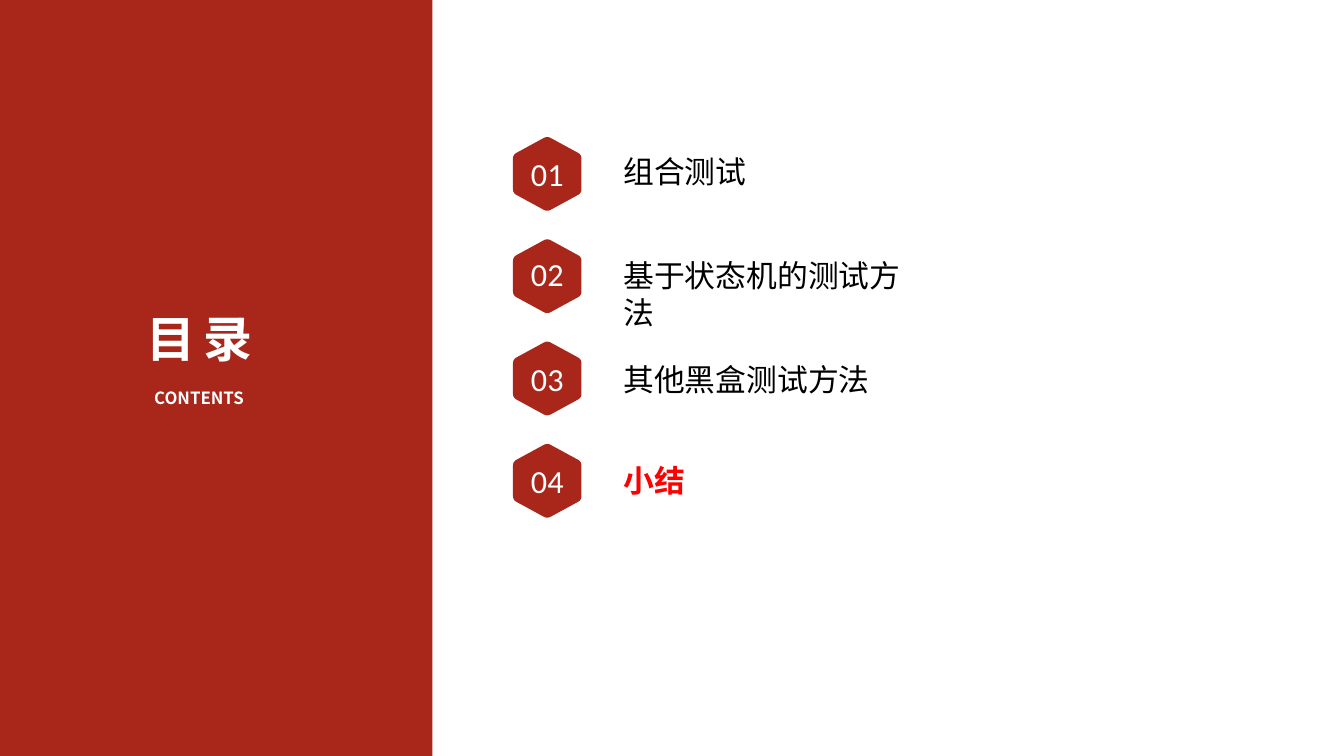
from math import hypot

from lxml.etree import SubElement
from pptx import Presentation
from pptx.dml.color import RGBColor
from pptx.enum.shapes import MSO_SHAPE
from pptx.enum.text import MSO_ANCHOR, MSO_AUTO_SIZE, PP_ALIGN
from pptx.oxml.ns import qn
from pptx.util import Pt

PX = 9144  # EMU per px, 100 px to the inch
SLIDE_W, SLIDE_H = 2667, 1500

BRICK = RGBColor(0xA8, 0x27, 0x1A)
WHITE = RGBColor(0xFF, 0xFF, 0xFF)
BLACK = RGBColor(0x00, 0x00, 0x00)
RED = RGBColor(0xFF, 0x00, 0x00)

CJK_FONT = "Noto Sans CJK SC"
NUMBER_FONT = "Calibri"

# Label, label width, label top and number top from the badge centre, current
CHAPTERS = [
    ("组合测试", 418, -47, -53, False),
    ("基于状态机的测试方法", 621, -44, -58, False),
    ("其他黑盒测试方法", 503, -41, -53, False),
    ("小结", 270, -43, -53, True),
]


def emu(*lengths):
    return [round(length * PX) for length in lengths]


def write(holder, text, size, color, font=CJK_FONT, bold=False,
          align=PP_ALIGN.LEFT, anchor=MSO_ANCHOR.TOP, spacing=None):
    """Put one formatted line of text into a text box or placeholder."""
    frame = holder.text_frame
    margins = dict.fromkeys(
        ("margin_left", "margin_top", "margin_right", "margin_bottom"), 5 * PX)
    frame_format = {"word_wrap": True, "auto_size": MSO_AUTO_SIZE.NONE,
                    "vertical_anchor": anchor, **margins}
    for name, value in frame_format.items():
        setattr(frame, name, value)
    line = frame.paragraphs[0]
    line.alignment = align
    run = line.add_run()
    run.text = text
    run.font.color.rgb = color
    for name, value in {"size": Pt(size), "name": font, "bold": bold}.items():
        setattr(run.font, name, value)
    properties = run._r.get_or_add_rPr()
    SubElement(properties, qn("a:ea")).set("typeface", font)
    if spacing:
        properties.set("spc", str(spacing))


def paint(shape, color):
    shape.shadow.inherit = False
    shape.fill.solid()
    shape.fill.fore_color.rgb = color
    shape.line.fill.background()


def rounded_outline(corners, cut, steps=6):
    """Points of a polygon whose corners are replaced by quadratic curves."""
    points = []
    for i, (x, y) in enumerate(corners):
        ends = []
        for nx, ny in (corners[i - 1], corners[(i + 1) % len(corners)]):
            share = cut / hypot(nx - x, ny - y)
            ends.append((x + (nx - x) * share, y + (ny - y) * share))
        (ax, ay), (bx, by) = ends
        for t in (step / steps for step in range(steps + 1)):
            a, c, b = (1 - t) ** 2, 2 * t * (1 - t), t ** 2
            points.append((a * ax + c * x + b * bx, a * ay + c * y + b * by))
    return points


def add_badge(slide, center_x, center_y, number, number_top):
    """Rounded hexagon with the chapter number over it."""
    half_w, half_h, shoulder = 68, 75, 38
    corners = [(0, -half_h), (half_w, -shoulder), (half_w, shoulder),
               (0, half_h), (-half_w, shoulder), (-half_w, -shoulder)]
    outline = [emu(center_x + x, center_y + y)
               for x, y in rounded_outline(corners, 8)]
    builder = slide.shapes.build_freeform(*outline[0])
    builder.add_line_segments(outline[1:], close=True)
    paint(builder.convert_to_shape(), BRICK)
    box = slide.shapes.add_textbox(
        *emu(center_x - 87, center_y + number_top, 174, 105))
    write(box, number, 46, WHITE, NUMBER_FONT,
          align=PP_ALIGN.CENTER, anchor=MSO_ANCHOR.MIDDLE)


def add_title_panel(slide, left, top, width, height):
    """Coloured side panel with the title and its subtitle."""
    panel = slide.shapes.add_shape(
        MSO_SHAPE.RECTANGLE, *emu(left, top, width, height))
    paint(panel, BRICK)
    title = slide.shapes.title
    title._element.addprevious(panel._element)  # keep the panel behind
    place = emu(left + 112, top + 608, 568, 285)
    for name, value in zip(("left", "top", "width", "height"), place):
        setattr(title, name, value)
    write(title, "目录", 70, WHITE, bold=True, align=PP_ALIGN.CENTER,
          spacing=1170)
    subtitle = slide.shapes.add_textbox(*emu(left + 187, top + 764, 416, 99))
    write(subtitle, "CONTENTS", 24, WHITE, bold=True, align=PP_ALIGN.CENTER)


def add_chapter_list(slide, left, top, pitch):
    """Numbered chapters, one row per pitch; the current one is marked."""
    for i, (label, width, label_top, number_top, current) in enumerate(CHAPTERS):
        center_y = top + 74 + i * pitch
        add_badge(slide, left + 68, center_y, f"{i + 1:02}", number_top)
        box = slide.shapes.add_textbox(
            *emu(left + 214, center_y + label_top, width, 85))
        write(box, label, 44, RED if current else BLACK, bold=current)


def main():
    deck = Presentation()
    deck.slide_width, deck.slide_height = emu(SLIDE_W, SLIDE_H)
    slide = deck.slides.add_slide(deck.slide_layouts[5])
    add_title_panel(slide, 0, 0, 858, SLIDE_H)
    add_chapter_list(slide, 1018, 271, 203)
    deck.save("out.pptx")


if __name__ == "__main__":
    main()
